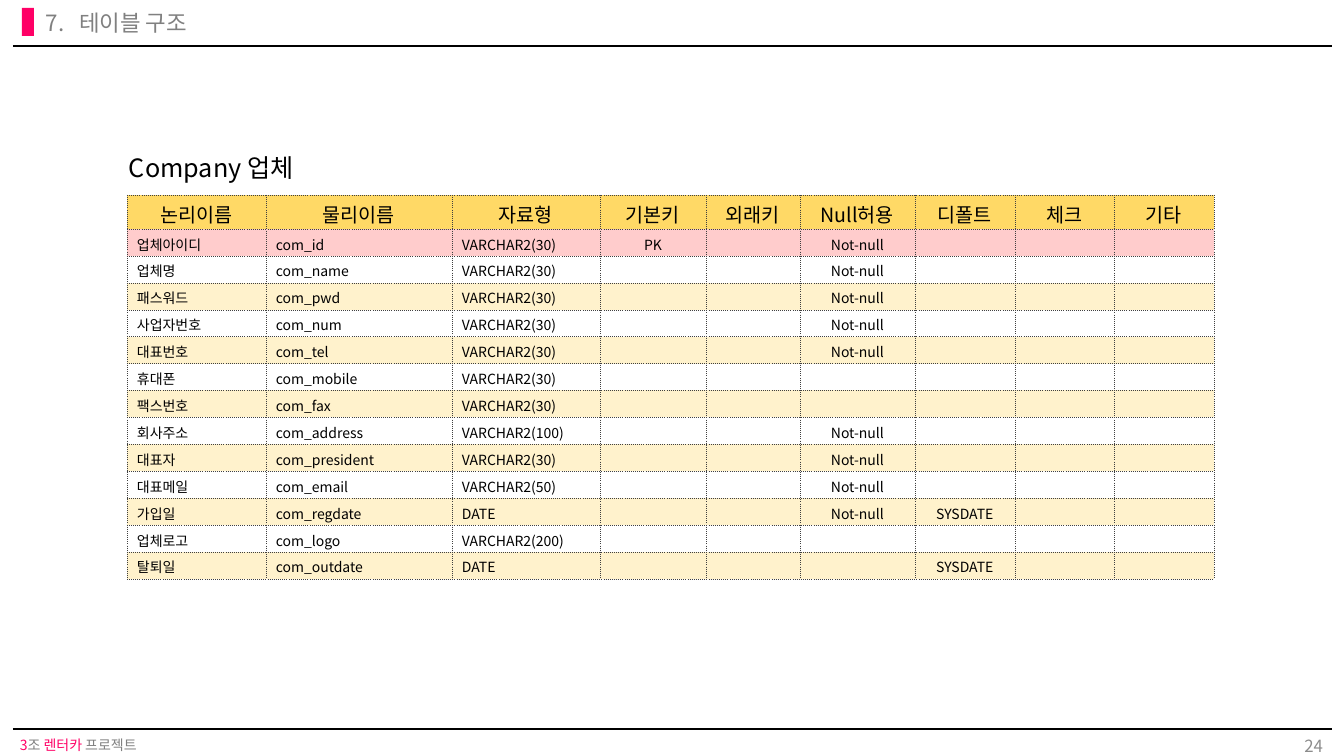
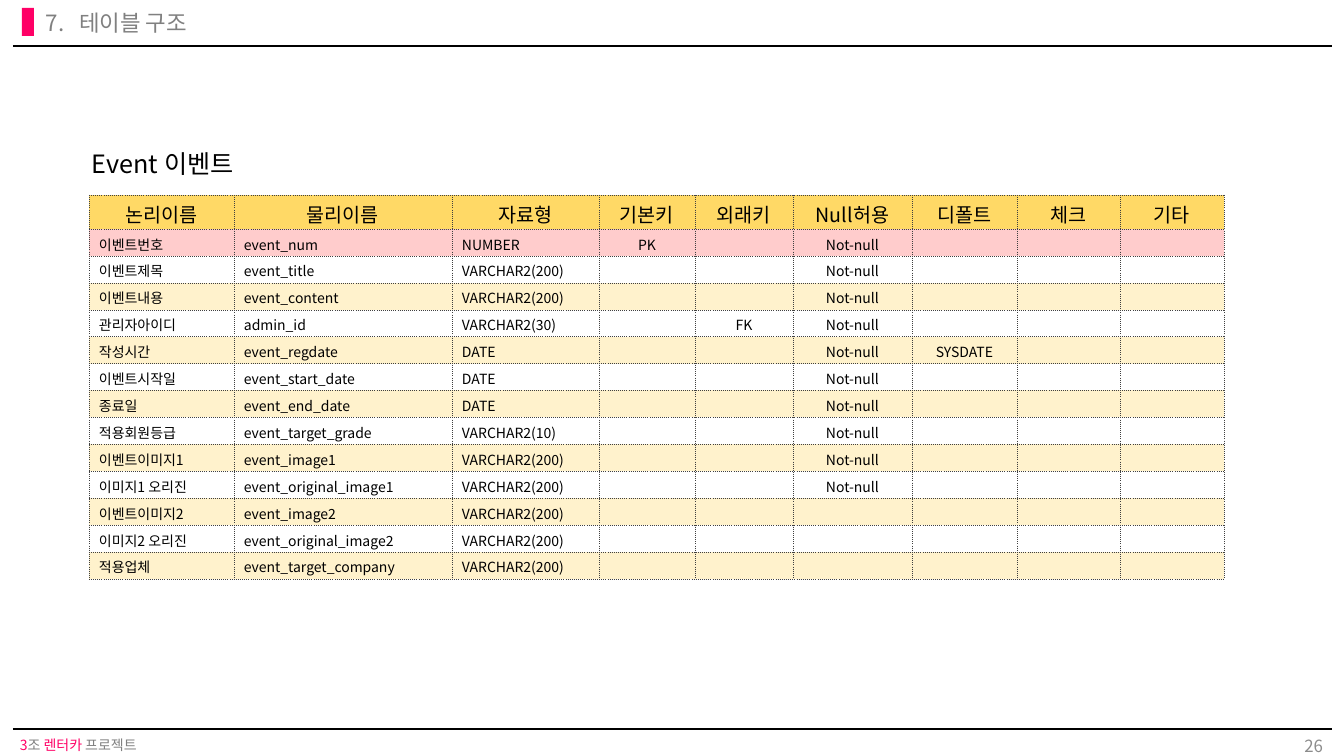
"""Build two table-structure slides for a rental car project."""
from itertools import zip_longest

from lxml import etree
from pptx import Presentation
from pptx.dml.color import RGBColor
from pptx.enum.shapes import MSO_CONNECTOR, MSO_SHAPE
from pptx.enum.text import MSO_ANCHOR, PP_ALIGN
from pptx.oxml.ns import qn
from pptx.util import Emu, Pt

LEFT, CENTER, RIGHT = PP_ALIGN.LEFT, PP_ALIGN.CENTER, PP_ALIGN.RIGHT
TOP, MIDDLE = MSO_ANCHOR.TOP, MSO_ANCHOR.MIDDLE
STRAIGHT, RECTANGLE = MSO_CONNECTOR.STRAIGHT, MSO_SHAPE.RECTANGLE

FONT = "Noto Sans CJK KR"
BLACK = RGBColor(0x00, 0x00, 0x00)
GRAY = RGBColor(0x80, 0x80, 0x80)
NUMBER_GRAY = RGBColor(0x8C, 0x8C, 0x8C)
PINK = RGBColor(0xFF, 0x00, 0x66)
HEADER_FILL = RGBColor(0xFF, 0xD9, 0x66)
KEY_FILL = RGBColor(0xFF, 0xCC, 0xCC)
BAND_FILL = RGBColor(0xFF, 0xF2, 0xCC)
BORDER = "404040"

SECTION = "7.\t테이블 구조"
FOOTER = [("3", PINK), ("조 ", GRAY), ("렌터카", PINK), (" 프로젝트", GRAY)]
HEADERS = ("논리이름", "물리이름", "자료형", "기본키", "외래키", "Null허용", "디폴트", "체크", "기타")
REQUIRED = "Not-null"

SLIDES = [
    {
        "number": "24",
        "title": "Company 업체",
        "title_box": (119, 147, 237, 40),
        "left": 127,
        "columns": (139, 186, 148, 106, 94, 115, 100, 99, 100),
        "rows": [
            ("업체아이디", "com_id", "VARCHAR2(30)", "PK", "", REQUIRED),
            ("업체명", "com_name", "VARCHAR2(30)", "", "", REQUIRED),
            ("패스워드", "com_pwd", "VARCHAR2(30)", "", "", REQUIRED),
            ("사업자번호", "com_num", "VARCHAR2(30)", "", "", REQUIRED),
            ("대표번호", "com_tel", "VARCHAR2(30)", "", "", REQUIRED),
            ("휴대폰", "com_mobile", "VARCHAR2(30)"),
            ("팩스번호", "com_fax", "VARCHAR2(30)"),
            ("회사주소", "com_address", "VARCHAR2(100)", "", "", REQUIRED),
            ("대표자", "com_president", "VARCHAR2(30)", "", "", REQUIRED),
            ("대표메일", "com_email", "VARCHAR2(50)", "", "", REQUIRED),
            ("가입일", "com_regdate", "DATE", "", "", REQUIRED, "SYSDATE"),
            ("업체로고", "com_logo", "VARCHAR2(200)"),
            ("탈퇴일", "com_outdate", "DATE", "", "", "", "SYSDATE"),
        ],
    },
    {
        "number": "26",
        "title": "Event 이벤트",
        "title_box": (82, 143, 237, 40),
        "left": 89,
        "columns": (145, 218, 147, 96, 98, 119, 105, 103, 104),
        "rows": [
            ("이벤트번호", "event_num", "NUMBER", "PK", "", REQUIRED),
            ("이벤트제목", "event_title", "VARCHAR2(200)", "", "", REQUIRED),
            ("이벤트내용", "event_content", "VARCHAR2(200)", "", "", REQUIRED),
            ("관리자아이디", "admin_id", "VARCHAR2(30)", "", "FK", REQUIRED),
            ("작성시간", "event_regdate", "DATE", "", "", REQUIRED, "SYSDATE"),
            ("이벤트시작일", "event_start_date", "DATE", "", "", REQUIRED),
            ("종료일", "event_end_date", "DATE", "", "", REQUIRED),
            ("적용회원등급", "event_target_grade", "VARCHAR2(10)", "", "", REQUIRED),
            ("이벤트이미지1", "event_image1", "VARCHAR2(200)", "", "", REQUIRED),
            ("이미지1 오리진", "event_original_image1", "VARCHAR2(200)", "", "", REQUIRED),
            ("이벤트이미지2", "event_image2", "VARCHAR2(200)"),
            ("이미지2 오리진", "event_original_image2", "VARCHAR2(200)"),
            ("적용업체", "event_target_company", "VARCHAR2(200)"),
        ],
    },
]

TABLE_TOP, TABLE_HEIGHT, HEADER_HEIGHT = 195, 384, 34
TITLE_TAB = 33
RULE_LEFT, RULE_RIGHT, RULE_TOPS = 13, 1332, (46, 729)


def px(length):
    """Turn px into EMU."""
    return Emu(round(length * 914400 / 100.8))


def set_attributes(target, values):
    """Set each named attribute on the target."""
    for name, value in values.items():
        setattr(target, name, value)


def add_run(paragraph, text, size, color):
    """Add a run in the deck font."""
    run = paragraph.add_run()
    run.text = text
    set_attributes(run.font, {"size": Pt(size), "name": FONT})
    run.font.color.rgb = color
    etree.SubElement(run.font._element, qn("a:ea"), typeface=FONT)


def add_text(slide, box, runs, size, align=LEFT, anchor=TOP, spacing=1.0, inset=(10, 5)):
    """Add a one-paragraph text box and return its paragraph."""
    frame = slide.shapes.add_textbox(*map(px, box)).text_frame
    side, end = map(px, inset)
    set_attributes(frame, {
        "word_wrap": True, "vertical_anchor": anchor, "margin_left": side,
        "margin_right": side, "margin_top": end, "margin_bottom": end,
    })
    paragraph = frame.paragraphs[0]
    set_attributes(paragraph, {"alignment": align, "line_spacing": spacing})
    for text, color in runs:
        add_run(paragraph, text, size, color)
    return paragraph


def add_frame(slide, number):
    """Draw the rules, marker, section title, footer and page number."""
    for top in RULE_TOPS:
        rule = slide.shapes.add_connector(
            STRAIGHT, px(RULE_LEFT), px(top), px(RULE_RIGHT), px(top))
        rule.line.color.rgb = BLACK
        rule.line.width = Pt(1.5)
        etree.SubElement(rule._element.spPr, qn("a:effectLst"))
    marker = slide.shapes.add_shape(RECTANGLE, *map(px, (22, 8, 12, 28)))
    marker.shadow.inherit = False
    marker.fill.solid()
    marker.fill.fore_color.rgb = PINK
    marker.line.fill.background()
    section = add_text(slide, (36, 7, 443, 35), [(SECTION, GRAY)], 16, spacing=0.9)
    tabs = etree.SubElement(section._p.get_or_add_pPr(), qn("a:tabLst"))
    etree.SubElement(tabs, qn("a:tab"), pos=str(px(TITLE_TAB)), algn="l")
    add_text(slide, (13, 734, 310, 23), FOOTER, 10, spacing=0.9, inset=(7, 4))
    add_text(slide, (1268, 728, 65, 35), [(number, NUMBER_GRAY)], 12, RIGHT, MIDDLE)


def add_borders(cell):
    """Give a cell thin dotted borders."""
    properties = cell._tc.get_or_add_tcPr()
    for side in ("a:lnL", "a:lnR", "a:lnT", "a:lnB"):
        line = etree.SubElement(properties, qn(side), w=str(Pt(0.25)))
        fill = etree.SubElement(line, qn("a:solidFill"))
        etree.SubElement(fill, qn("a:srgbClr"), val=BORDER)
        etree.SubElement(line, qn("a:prstDash"), val="sysDot")


def fill_cell(cell, text, size, align, color):
    """Write and style one cell."""
    add_borders(cell)
    set_attributes(cell, {"margin_left": px(10), "margin_right": px(10),
                          "margin_top": px(5), "margin_bottom": px(4)})
    if color:
        cell.fill.solid()
        cell.fill.fore_color.rgb = color
    else:
        cell.fill.background()
    paragraph = cell.text_frame.paragraphs[0]
    paragraph.alignment = align
    if text:
        add_run(paragraph, text, size, BLACK)
    else:
        etree.SubElement(paragraph._p, qn("a:endParaRPr"), sz=str(size * 100))


def row_color(index):
    """Return the fill of a row, or None for a plain one."""
    if index < 2:
        return (HEADER_FILL, KEY_FILL)[index]
    return BAND_FILL if index % 2 else None


def add_structure_table(slide, left, columns, rows):
    """Add the table that lists the columns of one database table."""
    table = slide.shapes.add_table(
        len(rows) + 1, len(columns), px(left), px(TABLE_TOP),
        px(sum(columns)), px(TABLE_HEIGHT)).table
    set_attributes(table, {"first_row": False, "horz_banding": False})
    for column, width in zip(table.columns, columns):
        column.width = px(width)
    body_height = (TABLE_HEIGHT - HEADER_HEIGHT) / len(rows)
    for index, values in enumerate([HEADERS, *rows]):
        table.rows[index].height = px(body_height if index else HEADER_HEIGHT)
        cells = zip_longest(table.rows[index].cells, values, fillvalue="")
        for position, (cell, text) in enumerate(cells):
            align = LEFT if index and position < 3 else CENTER
            fill_cell(cell, text, 10 if index else 14, align, row_color(index))


def main():
    """Build and save the presentation."""
    presentation = Presentation()
    set_attributes(presentation, {"slide_width": px(1344), "slide_height": px(756)})
    for content in SLIDES:
        slide = presentation.slides.add_slide(presentation.slide_layouts[6])
        add_frame(slide, content["number"])
        add_text(slide, content["title_box"], [(content["title"], BLACK)], 18)
        add_structure_table(slide, content["left"], content["columns"], content["rows"])
    presentation.save("out.pptx")


if __name__ == "__main__":
    main()
